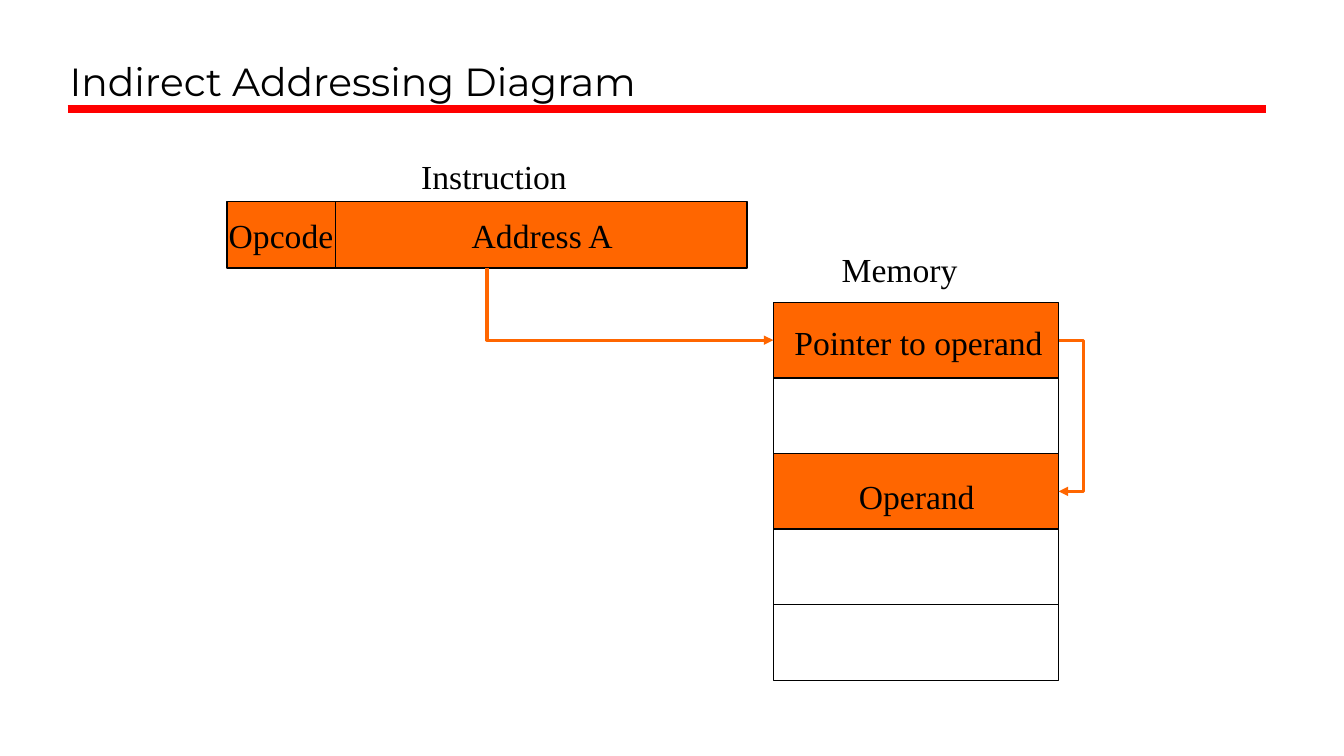
from dataclasses import dataclass

from lxml.etree import SubElement
from pptx import Presentation
from pptx.dml.color import RGBColor
from pptx.enum.shapes import MSO_CONNECTOR as Connector, MSO_SHAPE as Shape
from pptx.enum.text import MSO_ANCHOR as Anchor, MSO_AUTO_SIZE as AutoSize, PP_ALIGN as Align
from pptx.oxml.ns import qn
from pptx.slide import Slide
from pptx.text.text import Font
from pptx.util import Inches, Pt


@dataclass(frozen=True)
class Theme:
    black: RGBColor = RGBColor(0x00, 0x00, 0x00)
    red: RGBColor = RGBColor(0xFF, 0x00, 0x00)
    orange: RGBColor = RGBColor(0xFF, 0x66, 0x00)
    title_font: str = "Montserrat"
    label_font: str = "Times New Roman"
    title_size: float = 28
    label_size: float = 24
    border: float = 1
    arrow: float = 2.25
    rule: float = 6


@dataclass(frozen=True)
class Box:
    left: float
    top: float
    width: float
    height: float
    filled: bool = True


@dataclass(frozen=True)
class Label:
    text: str
    left: float
    top: float
    width: float
    height: float = 0.5


@dataclass(frozen=True)
class Line:
    start: tuple[float, float]
    end: tuple[float, float]
    color: RGBColor
    weight: float


THEME = Theme()

# Memory column: five equal cells, two of them in use
MEMORY_LEFT, MEMORY_TOP, MEMORY_WIDTH, CELL_HEIGHT = 7.67, 3, 2.83, 0.75
MEMORY_RIGHT = MEMORY_LEFT + MEMORY_WIDTH
CELL_COUNT, POINTER_CELL, OPERAND_CELL = 5, 0, 2
MEMORY_CELLS = [
    Box(MEMORY_LEFT, MEMORY_TOP + index * CELL_HEIGHT, MEMORY_WIDTH, CELL_HEIGHT,
        filled=index in (POINTER_CELL, OPERAND_CELL))
    for index in range(CELL_COUNT)
]
POINTER_Y, OPERAND_Y = (
    MEMORY_TOP + (index + 0.5) * CELL_HEIGHT for index in (POINTER_CELL, OPERAND_CELL)
)

# Instruction word: opcode and address fields
INSTRUCTION = Box(2.25, 2, 5.16, 0.66)
INSTRUCTION_BOTTOM = INSTRUCTION.top + INSTRUCTION.height
FIELD_X = 3.33

TITLE_RULE = Line((0.67, 1.08), (12.56, 1.08), THEME.red, THEME.rule)
FIELD_DIVIDER = Line((FIELD_X, INSTRUCTION.top), (FIELD_X, INSTRUCTION_BOTTOM),
                     THEME.black, THEME.border)

LABELS = [
    Label("Instruction", 4.08, 1.5, 1.66),
    Label("Opcode", 2.17, 2.08, 1.25),
    Label("Address A", 4.58, 2.08, 1.61),
    Label("Memory", 8.25, 2.42, 1.36),
    Label("Pointer to operand", 7.78, 3.14, 2.68),
    Label("Operand", 8.42, 4.67, 1.36),
]

ADDRESS_X, RETURN_X = 4.83, 10.75
ARROWS = [
    [(ADDRESS_X, INSTRUCTION_BOTTOM), (ADDRESS_X, POINTER_Y), (MEMORY_LEFT, POINTER_Y)],
    [(MEMORY_RIGHT, POINTER_Y), (RETURN_X, POINTER_Y),
     (RETURN_X, OPERAND_Y), (MEMORY_RIGHT, OPERAND_Y)],
]


def set_font(font: Font, name: str, size: float) -> None:
    font.name = name
    font.size = Pt(size)
    font.color.rgb = THEME.black


def add_title(slide: Slide, text: str) -> None:
    title = slide.shapes.title
    title.left, title.top = Inches(0.59), Inches(0.17)
    title.width, title.height = Inches(11.96), Inches(0.92)
    frame = title.text_frame
    frame.text = text
    frame.auto_size = AutoSize.NONE
    frame.vertical_anchor = Anchor.BOTTOM
    paragraph = frame.paragraphs[0]
    paragraph.alignment = Align.LEFT
    set_font(paragraph.font, THEME.title_font, THEME.title_size)


def add_box(slide: Slide, box: Box) -> None:
    shape = slide.shapes.add_shape(Shape.RECTANGLE, Inches(box.left), Inches(box.top),
                                   Inches(box.width), Inches(box.height))
    shape.shadow.inherit = False
    if box.filled:
        shape.fill.solid()
        shape.fill.fore_color.rgb = THEME.orange
    else:
        shape.fill.background()
    shape.line.color.rgb = THEME.black
    shape.line.width = Pt(THEME.border)


def add_line(slide: Slide, line: Line) -> None:
    connector = slide.shapes.add_connector(
        Connector.STRAIGHT, *(Inches(value) for value in line.start + line.end))
    connector.line.color.rgb = line.color
    connector.line.width = Pt(line.weight)
    SubElement(connector._element.spPr, qn("a:effectLst"))


def add_label(slide: Slide, label: Label) -> None:
    text_box = slide.shapes.add_textbox(Inches(label.left), Inches(label.top),
                                        Inches(label.width), Inches(label.height))
    frame = text_box.text_frame
    frame.text = label.text
    frame.word_wrap = False
    frame.auto_size = AutoSize.SHAPE_TO_FIT_TEXT
    set_font(frame.paragraphs[0].font, THEME.label_font, THEME.label_size)


def add_arrow(slide: Slide, points: list[tuple[float, float]]) -> None:
    start, *corners = [(Inches(x), Inches(y)) for x, y in points]
    builder = slide.shapes.build_freeform(*start)
    builder.add_line_segments(corners, close=False)
    arrow = builder.convert_to_shape()
    arrow.shadow.inherit = False
    arrow.fill.background()
    arrow.line.color.rgb = THEME.orange
    arrow.line.width = Pt(THEME.arrow)
    SubElement(arrow.line._get_or_add_ln(), qn("a:tailEnd"), type="triangle")


def main() -> None:
    presentation = Presentation()
    presentation.slide_width, presentation.slide_height = Inches(13.33), Inches(7.5)
    slide = presentation.slides.add_slide(presentation.slide_layouts[5])

    # Title and its rule
    add_line(slide, TITLE_RULE)
    add_title(slide, "Indirect Addressing Diagram")

    # Instruction and memory
    for box in [INSTRUCTION, *MEMORY_CELLS]:
        add_box(slide, box)
    add_line(slide, FIELD_DIVIDER)

    # Labels and pointer arrows
    for label in LABELS:
        add_label(slide, label)
    for points in ARROWS:
        add_arrow(slide, points)

    presentation.save("out.pptx")


if __name__ == "__main__":
    main()
